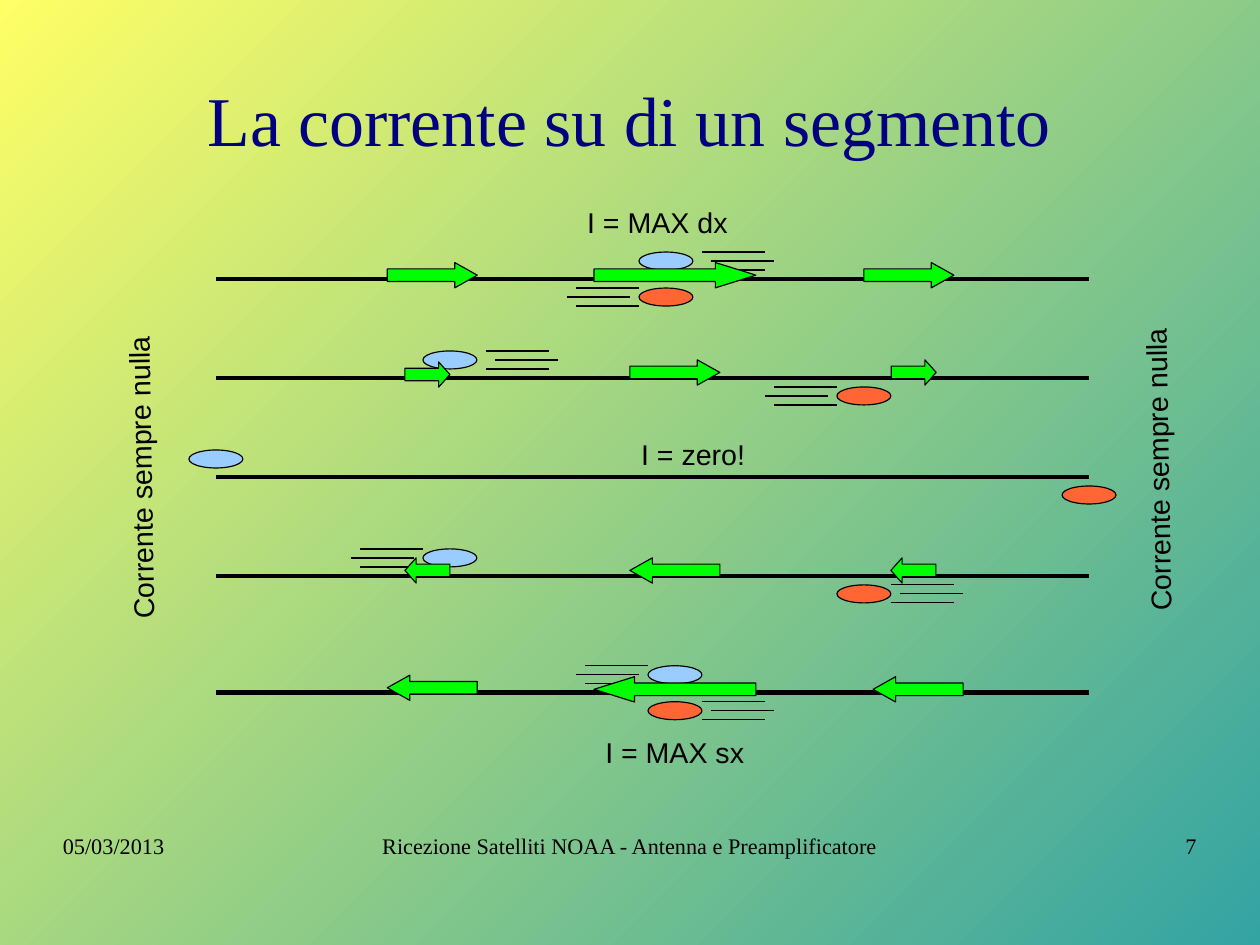
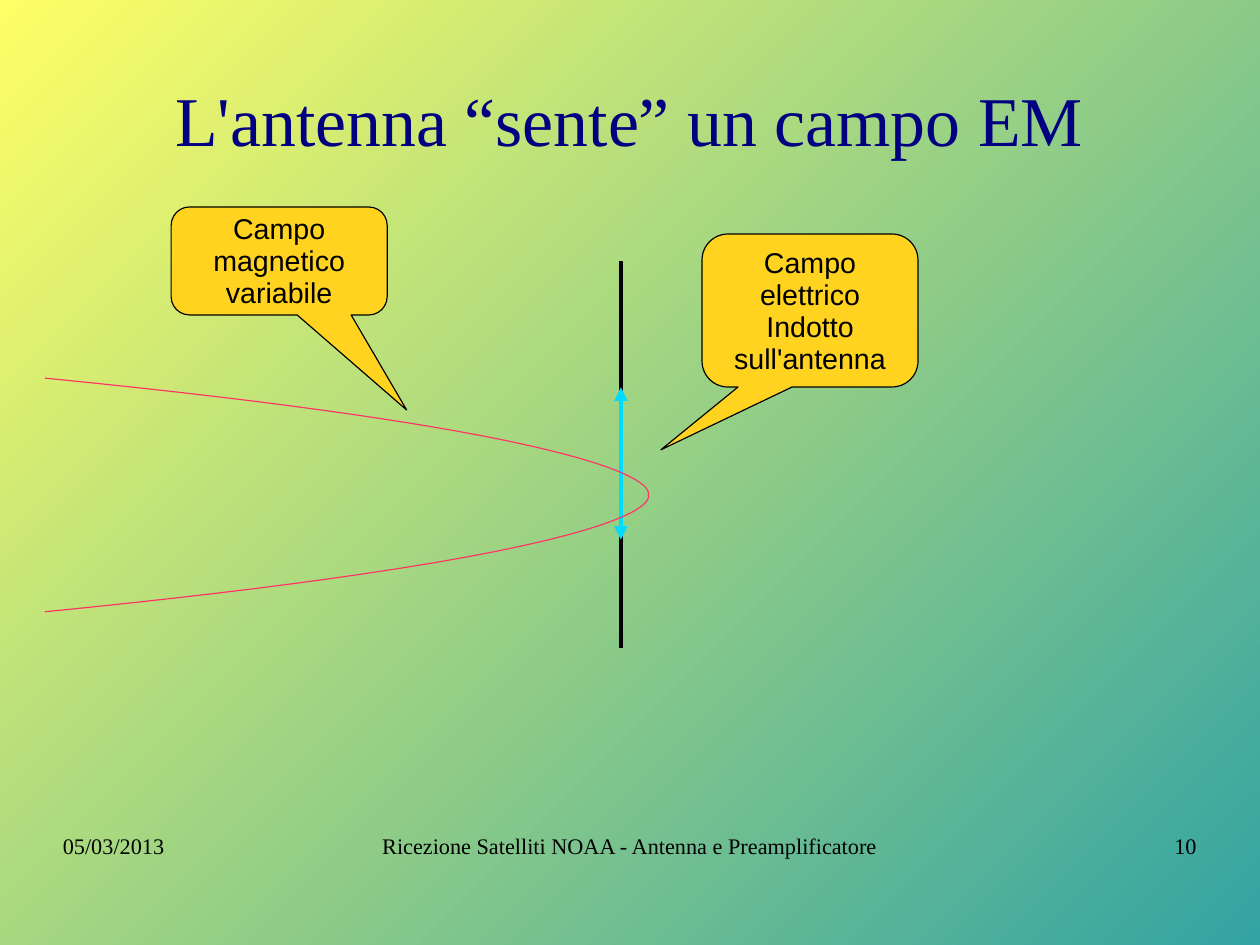
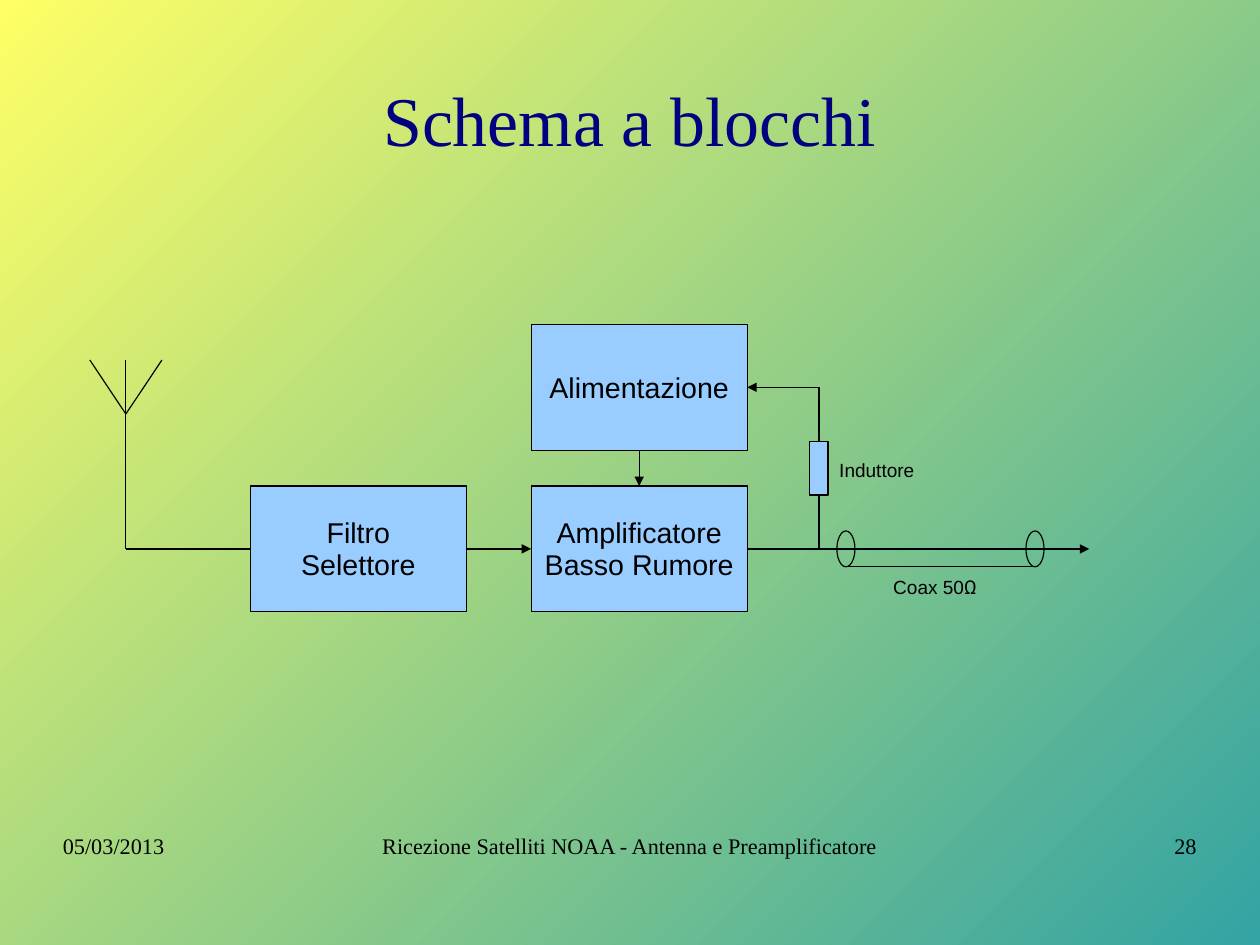
from dataclasses import dataclass

from lxml import etree
from pptx import Presentation
from pptx.dml import color
from pptx.enum import shapes as es, text as et
from pptx.oxml import ns
from pptx.util import Pt

KIND = es.MSO_SHAPE
ALIGN = et.PP_ALIGN
MID = et.MSO_ANCHOR.MIDDLE
TOP = et.MSO_ANCHOR.TOP


@dataclass(frozen=True)
class Theme:
    start: str = "FFFF66"
    end: str = "33A3A3"
    title: str = "000080"
    ink: str = "000000"
    blue: str = "99CCFF"
    red: str = "FF6633"
    green: str = "00FF00"
    gold: str = "FFD320"
    cyan: str = "00DCFF"
    pink: str = "FF3366"
    serif: str = "Times New Roman"
    sans: str = "Arial"
    greek: str = "Roboto"
    head: float = 44
    body: float = 18
    foot: float = 14
    small: float = 12
    thin: float = 0.75
    thick: float = 2.83
    pad: tuple = (7.2, 5, 7.2, 3.6)
    none: tuple = (0, 0, 0, 0)


T = Theme()


def rgb(code):
    return color.RGBColor.from_string(code)


def write(shape, lines, size=T.body, font=T.sans, ink=T.ink,
          align=ALIGN.LEFT, anchor=TOP, pad=T.pad, wrap=True):
    frame = shape.text_frame
    frame.auto_size = et.MSO_AUTO_SIZE.NONE
    frame.word_wrap = wrap
    frame.vertical_anchor = anchor
    (frame.margin_left, frame.margin_top,
     frame.margin_right, frame.margin_bottom) = map(Pt, pad)
    for i, line in enumerate(lines):
        para = frame.add_paragraph() if i else frame.paragraphs[0]
        para.alignment = align
        para.line_spacing = 0.93
        for words, face in [(line, font)] if isinstance(line, str) else line:
            run = para.add_run()
            run.text = words
            run.font.name = face
            run.font.size = Pt(size)
            run.font.color.rgb = rgb(ink)


def label(slide, box, *lines, turn=0, **form):
    shape = slide.shapes.add_textbox(*map(Pt, box))
    shape.rotation = turn
    write(shape, lines, **form)


def paint(shape, fill, ink=T.ink):
    shape.shadow.inherit = False
    if fill:
        shape.fill.solid()
        shape.fill.fore_color.rgb = rgb(fill)
    else:
        shape.fill.background()
    shape.line.color.rgb = rgb(ink)
    shape.line.width = Pt(T.thin)


def draw(slide, kind, box, fill=None, adj=()):
    shape = slide.shapes.add_shape(kind, *map(Pt, box))
    paint(shape, fill)
    for i, value in enumerate(adj):
        shape.adjustments[i] = value
    return shape


def block(slide, box, *lines):
    shape = draw(slide, KIND.RECTANGLE, box, T.blue)
    write(shape, lines, align=ALIGN.CENTER, anchor=MID, wrap=False)
    return shape


def bubble(slide, box, adj, *lines):
    shape = draw(slide, KIND.ROUNDED_RECTANGULAR_CALLOUT, box, T.gold, adj)
    write(shape, lines, align=ALIGN.CENTER, anchor=MID)


def wire(slide, start, end, ink=T.ink, width=T.thin, tips=(),
         source=None, target=None):
    line = slide.shapes.add_connector(
        es.MSO_CONNECTOR.STRAIGHT, *map(Pt, (*start, *end)))
    if source:
        line.begin_connect(*source)
    if target:
        line.end_connect(*target)
    line.line.color.rgb = rgb(ink)
    line.line.width = Pt(width)
    stroke = line.line._get_or_add_ln()
    for tip in tips:
        etree.SubElement(stroke, ns.qn(f"a:{tip}End"), type="triangle")
    etree.SubElement(stroke.getparent(), ns.qn("a:effectLst"))


def streaks(slide, x, y, side):
    for i in range(3):
        left = x + side * 5.67 * (i % 2)
        top = y + i * 5.67
        wire(slide, (left, top), (left + 39.6, top))


def arrow(slide, x, y, wide, way):
    kind = KIND.RIGHT_ARROW if way > 0 else KIND.LEFT_ARROW
    high = 15.9
    draw(slide, kind, (x, y, wide, high), T.green,
         (0.5, wide / (4 * high)))


def curve(slide, a, b, c, d):
    steps = 40
    half = []
    for i in range(steps + 1):
        t = i / steps
        s = 1 - t
        half.append([s**3 * p + 3 * s * s * t * q + 3 * s * t * t * r + t**3 * v
                     for p, q, r, v in zip(a, b, c, d)])
    back = [(x, 2 * d[1] - y) for x, y in reversed(half[:-1])]
    first, *rest = [(Pt(x), Pt(y)) for x, y in half + back]
    path = slide.shapes.build_freeform(*first)
    path.add_line_segments(rest, close=False)
    paint(path.convert_to_shape(), None, T.pink)


def backdrop(deck):
    fill = deck.slide_master.background.fill
    fill.gradient()
    fill.gradient_angle = 315
    for stop, code in zip(fill.gradient_stops, (T.start, T.end)):
        stop.color.rgb = rgb(code)


def page(deck, title, number):
    slide = deck.slides.add_slide(deck.slide_layouts[5])
    head = slide.shapes.title
    head.left, head.top, head.width, head.height = map(
        Pt, (39.6, 26.6, 714.2, 99.4))
    write(head, [title], size=T.head, font=T.serif, ink=T.title,
          align=ALIGN.CENTER, anchor=MID, pad=(0, 2.9, 0, 0))
    for x, wide, words, align in (
            (39.6, 185, "05/03/2013", ALIGN.LEFT),
            (224.6, 344.2,
             "Ricezione Satelliti NOAA - Antenna e Preamplificatore",
             ALIGN.CENTER),
            (568.8, 185, str(number), ALIGN.RIGHT)):
        label(slide, (x, 525.6, wide, 41), words, size=T.foot,
              font=T.serif, align=align, pad=T.none)
    return slide


def current(deck):
    slide = page(deck, "La corrente su di un segmento", 7)
    rows = (
        (175.8, 402.5, 402.5, 1),
        (238.1, 266.4, 527.2, 1),
        (300.5, 119, 669, 0),
        (362.8, 266.4, 527.2, -1),
        (436.4, 408.2, 408.2, -1),
    )
    for y, *_ in rows:
        wire(slide, (136.1, y), (686.2, y), width=T.thick)
    for y, blue, red, way in rows:
        for x, top, fill, side in ((blue, y - 17, T.blue, way),
                                   (red, y + 5.67, T.red, -way)):
            draw(slide, KIND.OVAL, (x, top, 34, 11.34), fill)
            if side:
                gap = -39.6 if side < 0 else 39.6 if way > 0 else 34
                streaks(slide, x + gap, top, side)
    full, half, short = 102, 56.7, 28.35
    for x, y, wide, way in (
            (374.2, 165.4, full, 1), (544.2, 165.4, half, 1),
            (244, 165.4, half, 1), (396.8, 226.7, half, 1),
            (255.1, 228, short, 1), (561.4, 226.7, short, 1),
            (396.8, 351.4, half, -1), (255.1, 351.4, short, -1),
            (561.2, 351.4, short, -1), (374.2, 426.3, full, -1),
            (244, 425.3, half, -1), (550, 426.3, half, -1)):
        arrow(slide, x, y, wide, way)
    for x, y, words in ((374.2, 460.2, "I = MAX sx"),
                        (362.8, 126.2, "I = MAX dx"),
                        (396.8, 272.3, "I = zero!")):
        label(slide, (x, y, 141.8, 27.4), words)
    for x, y in ((-10, 283), (630.7, 278)):
        label(slide, (x, y, 198.7, 29.5), "Corrente sempre nulla", turn=269)


def field(deck):
    slide = page(deck, "L'antenna “sente” un campo EM", 10)
    wire(slide, (391.1, 164.3), (391.1, 408.2), width=T.thick)
    wire(slide, (391.1, 244), (391.1, 340), ink=T.cyan, width=T.thick,
         tips=("head", "tail"))
    tip = (408.3, 311.8)
    curve(slide, (28.3, 238.2), (430.6, 277.9), tip, tip)
    bubble(slide, (442.2, 147.4, 136.1, 96.4), (-0.69, 0.91, 0.17),
           "Campo elettrico", "Indotto sull'antenna")
    bubble(slide, (107.8, 130.4, 136.1, 68), (0.59, 1.38, 0.17),
           "Campo magnetico variabile")


def scheme(deck):
    slide = page(deck, "Schema a blocchi", 28)
    wide, high = 136.1, 79.2
    mast, feed = 79.3, 345.8
    bend, rise = 515.9, 244
    band = feed - high / 2
    sift = block(slide, (157.7, band, wide, high), "Filtro", "Selettore")
    amp = block(slide, (334.6, band, wide, high),
                "Amplificatore", "Basso Rumore")
    power = block(slide, (334.6, rise - high / 2, wide, high),
                  "Alimentazione")
    coil = draw(slide, KIND.RECTANGLE, (bend - 5.7, 277.9, 11.4, 34), T.blue)

    wire(slide, (mast, 226.8), (mast, feed))
    for side in (-22.7, 22.7):
        wire(slide, (mast + side, 226.8), (mast, 260.8))
    wire(slide, (mast, feed), (157.7, feed), target=(sift, 1))
    wire(slide, (293.8, feed), (334.6, feed), tips=("tail",),
         source=(sift, 3), target=(amp, 1))
    wire(slide, (470.7, feed), (686.2, feed), tips=("tail",),
         source=(amp, 3))
    wire(slide, (402.7, 283.6), (402.7, 306.2), tips=("tail",),
         source=(power, 2), target=(amp, 0))
    wire(slide, (470.7, rise), (bend, rise), tips=("head",),
         source=(power, 3))
    wire(slide, (bend, rise), (bend, 277.9), target=(coil, 0))
    wire(slide, (bend, feed), (bend, 311.9), target=(coil, 2))

    ends = (532.9, 652)
    for x in ends:
        draw(slide, KIND.OVAL, (x - 5.7, feed - 11.3, 11.4, 22.6))
    wire(slide, (ends[0], feed + 11.3), (ends[1], feed + 11.3))
    for box, line in (((555.6, 359.3, 68.4, 20.9),
                       (("Coax 50", T.sans), ("Ω", T.greek))),
                      ((521.6, 286, 61.9, 20.2), "Induttore")):
        label(slide, box, line, size=T.small, wrap=False,
              pad=(7.2, 4.3, 7.2, 3.6))


def main():
    deck = Presentation()
    deck.slide_width = Pt(793.7)
    deck.slide_height = Pt(595.3)
    backdrop(deck)
    current(deck)
    field(deck)
    scheme(deck)
    deck.save("out.pptx")


if __name__ == "__main__":
    main()
